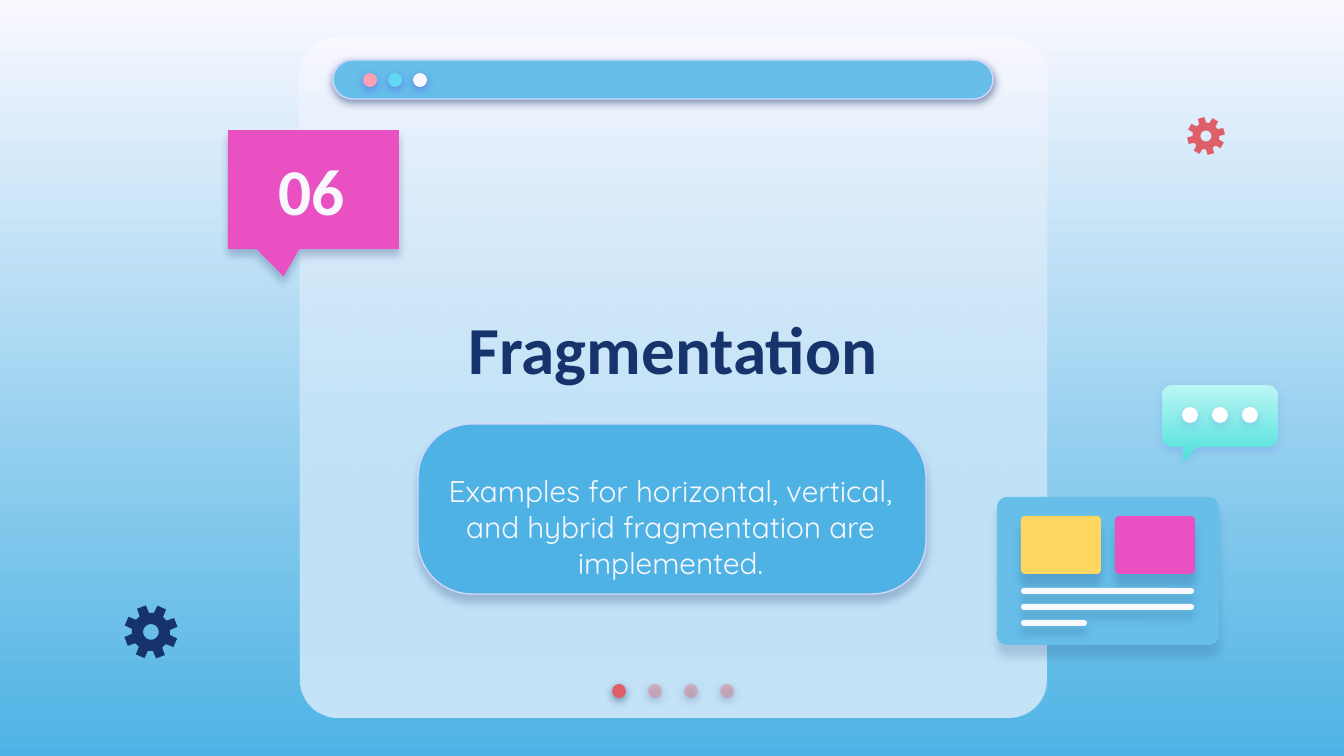
import math

from lxml import etree
from pptx import Presentation
from pptx import util as u
from pptx.dml import color as c
from pptx.enum import shapes, text
from pptx.oxml import ns

SCALE = 9144000 / 1344
WHITE, NAVY, SKY, BLUE = "F9F8FF", "17336B", "66BEE9", "4EB3E4"
PINK, RED, LILAC, VIOLET = "E951C2", "DF5F69", "D2D6FF", "5352EE"
ROUND = shapes.MSO_SHAPE.ROUNDED_RECTANGLE
OVAL = shapes.MSO_SHAPE.OVAL
CALLOUT = shapes.MSO_SHAPE.ROUNDED_RECTANGULAR_CALLOUT


def px(length):
    return u.Emu(round(length * SCALE))


def rgb(value):
    return c.RGBColor.from_string(value)


def paint(fill, colors):
    if isinstance(colors, str):
        fill.solid()
        fill.fore_color.rgb = rgb(colors)
        return
    fill.gradient()
    fill.gradient_angle = 270
    for stop, color in zip(fill.gradient_stops, colors):
        stop.color.rgb = rgb(color)


def style(shape, fill, line=None, shadow=None, alpha=None):
    properties = shape._element.spPr
    paint(shape.fill, fill)
    if alpha:
        last = properties.findall(".//" + ns.qn("a:srgbClr"))[-1]
        etree.SubElement(last, ns.qn("a:alpha"), val=str(alpha * 1000))
    if line:
        shape.line.color.rgb = rgb(line)
        shape.line.width = u.Pt(0.75)
    else:
        shape.line.fill.background()
    shape.shadow.inherit = False
    if shadow:
        color, strength, distance = shadow
        effects = properties.find(ns.qn("a:effectLst"))
        outer = etree.SubElement(
            effects, ns.qn("a:outerShdw"), blurRad=str(u.Pt(4.5)),
            dist=str(u.Pt(distance)), dir="5400000", algn="bl", rotWithShape="0")
        tint = etree.SubElement(outer, ns.qn("a:srgbClr"), val=color)
        etree.SubElement(tint, ns.qn("a:alpha"), val=str(strength * 1000))


def add_preset(tree, kind, box, fill, adjust=(), **looks):
    shape = tree.add_shape(kind, *map(px, box))
    for index, value in enumerate(adjust):
        shape.adjustments[index] = value
    style(shape, fill, **looks)


def add_dots(tree, left, top, size, step, fills, shadow, alphas=None):
    for index, fill in enumerate(fills):
        add_preset(tree, OVAL, (left + index * step, top, size, size), fill,
                   shadow=shadow, alpha=alphas[index] if alphas else None)


def polar(x, y, radius, degrees):
    angle = math.radians(degrees)
    return x + radius * math.cos(angle), y + radius * math.sin(angle)


def arc(x, y, radius, start, end, steps):
    return [polar(x, y, radius, start + (end - start) * i / steps)
            for i in range(steps + 1)]


def add_outline(tree, contours, fill, **looks):
    contours = [[(px(x), px(y)) for x, y in points] for points in contours]
    builder = tree.build_freeform(*contours[0][0], scale=1.0)
    for index, points in enumerate(contours):
        if index:
            builder.move_to(*points[0])
        builder.add_line_segments(points[1:], close=True)
    style(builder.convert_to_shape(), fill, **looks)


def write(shape, box, words, size, font, color, bold, anchor):
    shape.left, shape.top, shape.width, shape.height = map(px, box)
    frame = shape.text_frame
    frame.word_wrap = True
    frame.auto_size = text.MSO_AUTO_SIZE.NONE
    frame.vertical_anchor = anchor
    frame.margin_left = frame.margin_right = u.Inches(0.1)
    frame.margin_top = frame.margin_bottom = u.Inches(0.1)
    para = frame.paragraphs[0]
    para.text = words
    para.alignment = text.PP_ALIGN.CENTER
    para.space_before = u.Pt(0)
    para.font.size = u.Pt(size)
    para.font.name = font
    para.font.bold = bold
    para.font.color.rgb = rgb(color)


def add_window(page, left, top, width, height):
    tree = page.shapes.add_group_shape().shapes
    box = left, top, width, height
    shadow = NAVY, 50, 1.5
    add_preset(tree, ROUND, box, WHITE, [0.056])
    add_preset(tree, ROUND, box, (WHITE, SKY), [0.056], alpha=35)
    add_dots(tree, left + 312, top + 646, 14, 36,
             [RED] + ["E27B83"] * 3, shadow, [None, 44, 44, 44])
    add_preset(tree, ROUND, (left + 33, top + 22, 660, 39), SKY, [0.5],
               line=LILAC, shadow=shadow)
    add_dots(tree, left + 63, top + 35, 14, 25,
             ["FDA0B4", "60D8F4", WHITE], (VIOLET, 50, 1.5))


def add_number(page, left, top, width, height):
    add_preset(page.shapes, CALLOUT, (left, top, width, height), PINK,
               [-0.174, 0.731, 0], shadow=(NAVY, 25, 3.8))
    box = left + 13, top + 7, 142, 105
    label = page.shapes.add_textbox(*map(px, box))
    write(label, box, "06", 35, "Calibri", WHITE, True, text.MSO_ANCHOR.BOTTOM)


def add_heading(page, left, top, width, height):
    add_preset(page.shapes, ROUND, (left, top, width, height), BLUE, [0.317],
               line=LILAC, shadow=(NAVY, 24, 3.8))
    title, subtitle = page.placeholders
    for holder in (title, subtitle):
        page.shapes._spTree.append(holder._element)
    write(title, (left - 54, top - 199, 618, 245), "Fragmentation",
          36, "Calibri", NAVY, True, text.MSO_ANCHOR.MIDDLE)
    write(subtitle, (left + 16, top + 50, 473, 105),
          "Examples for horizontal, vertical, and hybrid fragmentation are implemented.",
          16, "Quicksand", WHITE, False, text.MSO_ANCHOR.MIDDLE)


def add_card(page, left, top, width, height):
    tree = page.shapes.add_group_shape().shapes
    add_preset(tree, ROUND, (left, top, width, height), SKY, [0.07],
               shadow=(NAVY, 17, 6))
    for index, fill in enumerate(("FFD65F", PINK)):
        add_preset(tree, ROUND, (left + 24 + index * 94, top + 19, 80, 58), fill,
                   [0.07], shadow=(NAVY, 20, 6))
    for index, length in enumerate((173, 173, 66)):
        add_preset(tree, ROUND, (left + 24, top + 91 + index * 16, length, 6),
                   WHITE, [0.5], shadow=(NAVY, 21, 4.5))


def add_bubble(page, left, top, width, height):
    tree = page.shapes.add_group_shape().shapes
    radius = 11
    right, bottom = left + width, top + height
    west, east = left + radius, right - radius
    north, south = top + radius, bottom - radius
    tail = [(left + 35, bottom), (left + 22, bottom + 14), (left + 22, bottom)]
    outline = (arc(east, north, radius, -90, 0, 8) + arc(east, south, radius, 0, 90, 8)
               + tail + arc(west, south, radius, 90, 180, 8)
               + arc(west, north, radius, 180, 270, 8))
    shadow = VIOLET, 18, 1.5
    add_outline(tree, [outline], ("BBF6F4", "4EE0DB"), shadow=shadow)
    add_dots(tree, left + 20, top + 22, 16, 30, ["FFFFFF"] * 3, shadow)


def add_gear(page, x, y, radius, turn, fill):
    profile = (-15, 0.71), (-10, 1), (10, 1), (15, 0.71)
    teeth = [polar(x, y, radius * reach, turn + tooth * 45 + offset)
             for tooth in range(8) for offset, reach in profile]
    hole = arc(x, y, radius * 0.29, 360, 0, 32)
    add_outline(page.shapes, [teeth, hole], fill)


def main():
    deck = Presentation()
    deck.slide_width, deck.slide_height = px(1344), px(756)
    page = deck.slides.add_slide(deck.slide_layouts[0])
    paint(page.background.fill, (WHITE, BLUE))
    add_window(page, 300, 38, 747, 680)
    add_number(page, 228, 130, 171, 119)
    add_heading(page, 418, 424, 508, 170)
    add_card(page, 997, 497, 222, 148)
    add_bubble(page, 1162, 385, 116, 62)
    add_gear(page, 151, 632, 27, -21, NAVY)
    add_gear(page, 1206, 136, 19, -15, RED)
    deck.save("out.pptx")


if __name__ == "__main__":
    main()
